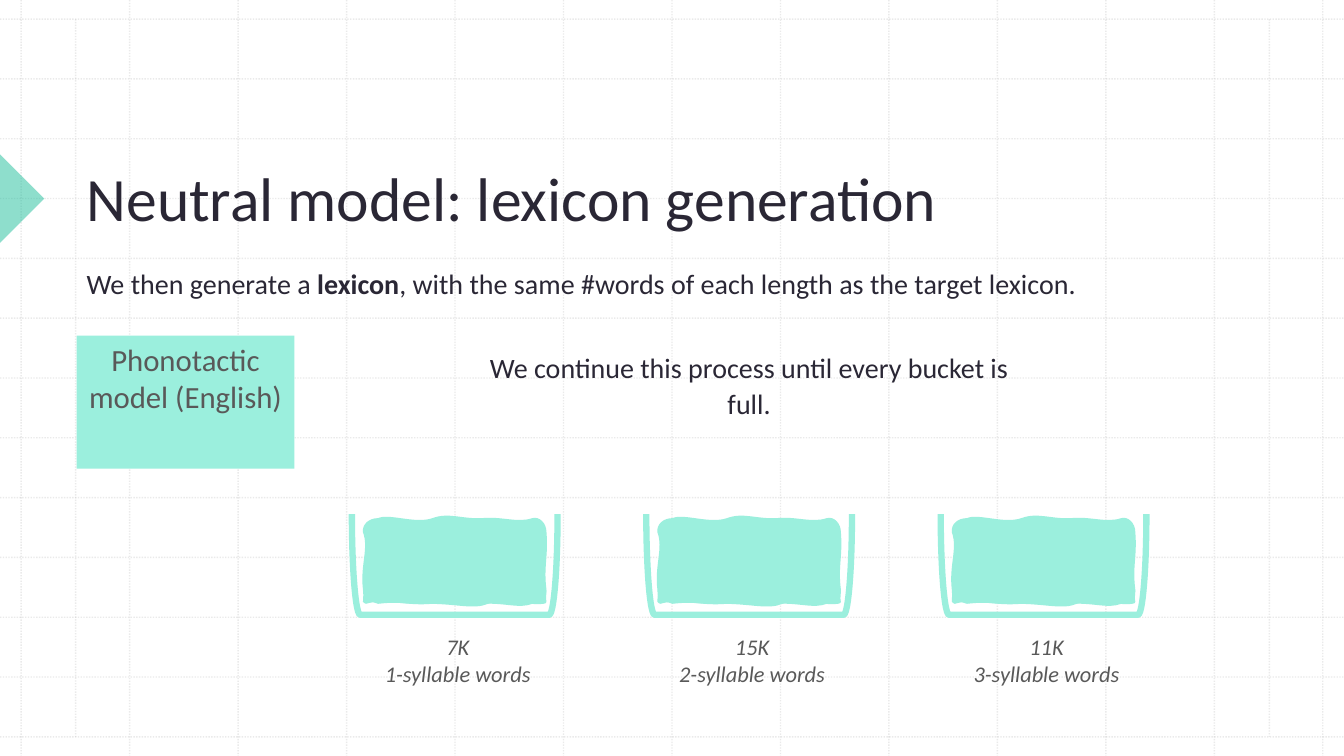
from lxml import etree
from pptx import Presentation
from pptx import util as u
from pptx.dml.color import RGBColor
from pptx.enum import dml, shapes, text
from pptx.oxml.ns import qn

INK = RGBColor(0x2A, 0x27, 0x35)
GRAY = RGBColor(0x59, 0x59, 0x59)
MINT = RGBColor(0x9B, 0xEF, 0xDD)
TEAL = RGBColor(0x1E, 0xBE, 0x9B)
GRID = RGBColor(0xBC, 0xBC, 0xBC)

WIDTH, HEIGHT = 13.33, 7.5
TITLE = "Neutral model: lexicon generation"
INTRO = [("We then generate a ", False), ("lexicon", True),
         (", with the same #words of each length as the target lexicon.", False)]
MODEL = "Phonotactic model (English)"
PROCESS = "We continue this process until every bucket is full."
BUCKETS = [("7K", "1-syllable words"), ("15K", "2-syllable words"),
           ("11K", "3-syllable words")]
FIRST_BUCKET, BUCKET_PITCH = 4.51, 2.92

# Wavy outlines: a start point, then cubic curves (two controls, one end),
# in inches from the left edge and top of the fill.
WATER = [(0, .14), [
    (-.01, .06, .06, 0, .15, 0), (.26, -.05, .52, .06, .69, 0),
    (.85, -.06, .98, .01, 1.18, 0), (1.38, -.02, 1.53, .05, 1.68, 0),
    (1.75, -.02, 1.82, .05, 1.82, .14), (1.84, .38, 1.79, .48, 1.82, .71),
    (1.82, .78, 1.75, .86, 1.68, .85), (1.55, .9, 1.41, .84, 1.2, .85),
    (.99, .87, .94, .83, .69, .85), (.43, .87, .41, .82, .15, .85),
    (.08, .84, .02, .78, 0, .71), (-.03, .47, .06, .3, 0, .14)]]
BOTTOM_LAYER = [(0, .02), [
    (0, .01, .01, 0, .03, 0), (.22, -.04, .45, .05, .65, 0),
    (.85, -.06, 1.1, .02, 1.22, 0), (1.35, -.03, 1.56, .06, 1.79, 0),
    (1.81, 0, 1.82, .01, 1.82, .02), (1.82, .06, 1.81, .09, 1.82, .13),
    (1.82, .14, 1.81, .15, 1.79, .15), (1.64, .17, 1.38, .09, 1.24, .15),
    (1.1, .21, .93, .15, .65, .15), (.37, .16, .19, .1, .03, .15),
    (.02, .15, .01, .14, 0, .13), (0, .07, .01, .05, 0, .02)]]
FILLS = [(5.14, WATER), (5.84, BOTTOM_LAYER)]

deck = Presentation()
deck.slide_width, deck.slide_height = u.Inches(WIDTH), u.Inches(HEIGHT)
layout = deck.slide_layouts[5]
page = deck.slides.add_slide(layout)


def set_alpha(shape, percent):
    for color in shape._element.spPr.iter(qn("a:srgbClr")):
        etree.SubElement(color, qn("a:alpha")).set("val", str(percent * 1000))


def grid_line(group, x1, y1, x2, y2):
    line = group.shapes.add_connector(shapes.MSO_CONNECTOR.STRAIGHT,
                                      *map(u.Inches, (x1, y1, x2, y2)))
    line.line.color.rgb = GRID
    line.line.width = u.Pt(1)
    line.line.dash_style = dml.MSO_LINE.ROUND_DOT
    set_alpha(line, 30)
    etree.SubElement(line._element.spPr, qn("a:effectLst"))


def paint(shape, fill=None):
    """Give a flat fill, or none, and no outline or shadow."""
    shape.shadow.inherit = False
    shape.line.fill.background()
    if fill is None:
        shape.fill.background()
    else:
        shape.fill.solid()
        shape.fill.fore_color.rgb = fill


def add_preset(kind, *frame, fill=None):
    shape = page.shapes.add_shape(kind, *map(u.Inches, frame))
    paint(shape, fill)
    return shape


def add_wavy_fill(left, top, outline):
    """Build the outline from its end points, then bend each side into a curve."""
    start, curves = outline
    builder = page.shapes.build_freeform(u.Inches(start[0]), u.Inches(start[1]))
    builder.add_line_segments([(u.Inches(c[4]), u.Inches(c[5])) for c in curves], close=True)
    fill = builder.convert_to_shape(u.Inches(left), u.Inches(top))
    paint(fill, MINT)
    sides = list(fill._element.spPr.iter(qn("a:lnTo")))
    for side, curve in zip(sides, curves):
        side.tag = qn("a:cubicBezTo")
        for i in (0, 2):
            control = etree.Element(qn("a:pt"), x=str(u.Inches(curve[i])),
                                    y=str(u.Inches(curve[i + 1])))
            side.insert(i // 2, control)


def write(box, paragraphs, size, color, align=text.PP_ALIGN.LEFT,
          anchor=text.MSO_ANCHOR.TOP, spacing=1.0, italic=False):
    """Fill a box with paragraphs, each a list of (words, bold) spans."""
    frame = box.text_frame
    frame.word_wrap = True
    frame.auto_size = text.MSO_AUTO_SIZE.NONE
    frame.vertical_anchor = anchor
    for i, spans in enumerate(paragraphs):
        para = frame.add_paragraph() if i else frame.paragraphs[0]
        para.alignment, para.line_spacing = align, spacing
        for words, bold in spans:
            span = para.add_run()
            span.text = words
            look = {"name": "Calibri", "size": u.Pt(size), "bold": bold, "italic": italic}
            for name, value in look.items():
                setattr(span.font, name, value)
            span.font.color.rgb = color


def add_text(*frame):
    return page.shapes.add_textbox(*map(u.Inches, frame))


# Background grid and marker belong to the layout
grid = page.shapes.add_group_shape()
for i in range(13):
    x, y = 0.21 + i * 12.91 / 12, 0.19 + i * 7.12 / 12
    grid_line(grid, x, 0, x, HEIGHT)
    grid_line(grid, 0, y, WIDTH, y)
for x in (0.75, 12.59):
    grid_line(grid, x, 0.19, x, 7.31)
marker = add_preset(shapes.MSO_SHAPE.RIGHT_TRIANGLE, -0.31, 1.66, 0.62, 0.62, fill=TEAL)
marker.rotation = 225
set_alpha(marker, 50)
for part in (grid, marker):
    layout.shapes._spTree.append(part._element)

# Title and text
title = page.shapes.title
title.left, title.top, title.width, title.height = map(u.Inches, (0.76, 0.79, 11.29, 1.58))
write(title, [[(TITLE, False)]], 44, INK, anchor=text.MSO_ANCHOR.BOTTOM)
write(add_text(0.76, 2.56, 11.29, 0.78), [INTRO], 20, INK, spacing=1.1)

# Buckets
for i, label in enumerate(BUCKETS):
    center = FIRST_BUCKET + i * BUCKET_PITCH
    bucket = add_preset(shapes.MSO_SHAPE.RIGHT_BRACKET, center - 0.5, 4.58, 1, 2.04)
    bucket.rotation = 90
    bucket.line.color.rgb = MINT
    bucket.line.width = u.Pt(4.5)
    for top, outline in FILLS:
        add_wavy_fill(center - 0.91, top, outline)
    write(add_text(center - 0.82, 6.23, 1.7, 0.99), [[(words, False)] for words in label],
          16, GRAY, text.PP_ALIGN.CENTER, italic=True)

model = add_preset(shapes.MSO_SHAPE.RECTANGLE, 0.76, 3.33, 2.16, 1.32, fill=MINT)
write(model, [[(MODEL, False)]], 22, GRAY, text.PP_ALIGN.CENTER)
write(add_text(4.71, 3.39, 5.44, 1), [[(PROCESS, False)]], 20, INK,
      text.PP_ALIGN.CENTER, spacing=1.1)

deck.save("out.pptx")
